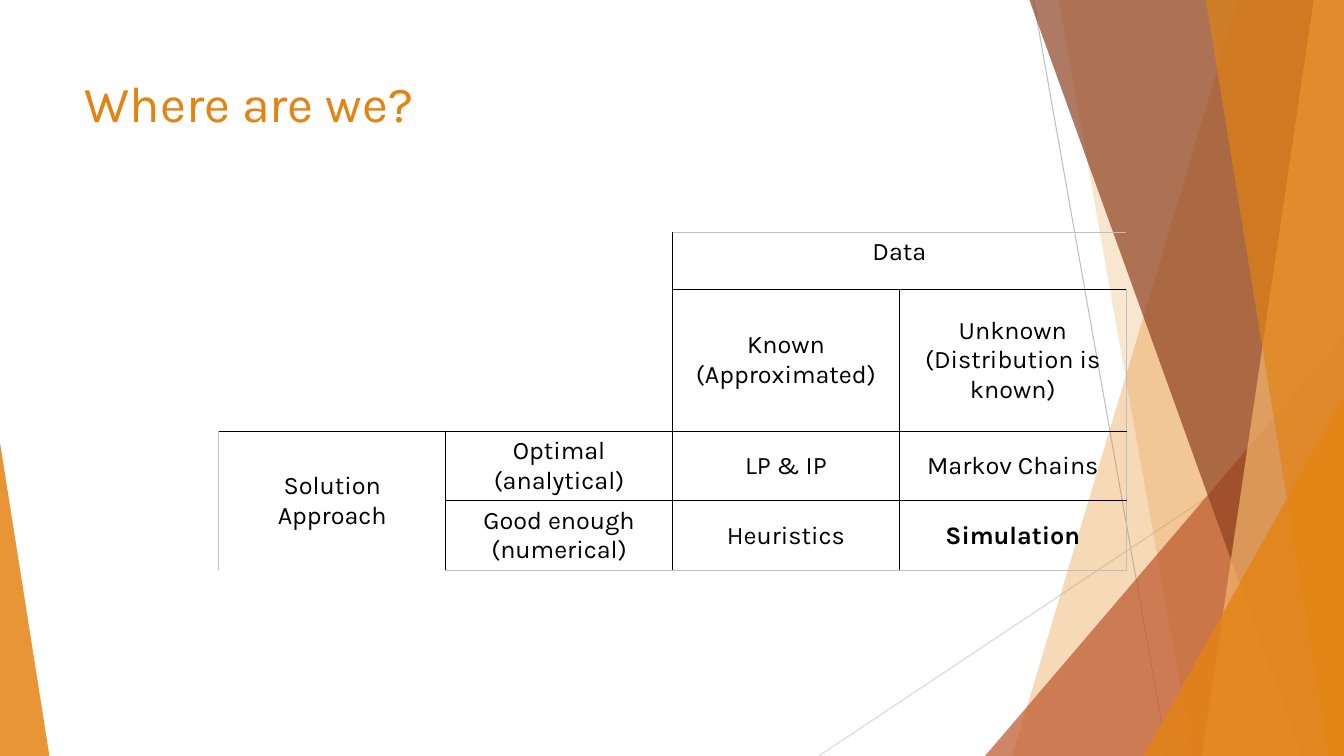
from lxml import etree
from pptx import Presentation
from pptx.dml.color import RGBColor
from pptx.enum.shapes import MSO_CONNECTOR, MSO_SHAPE
from pptx.enum.text import MSO_ANCHOR, PP_ALIGN
from pptx.oxml.ns import qn
from pptx.util import Inches, Pt

STRAIGHT = MSO_CONNECTOR.STRAIGHT
TRIANGLE = MSO_SHAPE.ISOSCELES_TRIANGLE
TOP, MIDDLE = MSO_ANCHOR.TOP, MSO_ANCHOR.MIDDLE
LEFT, CENTER = PP_ALIGN.LEFT, PP_ALIGN.CENTER
WIDTH, HEIGHT = 13.33, 7.5
ORANGE, RUST, BROWN, PEACH = "E48312", "BD582C", "8E4221", "F3B56C"


def color(value):
    return RGBColor.from_string(value)


def format_text(para, align, values):
    para.alignment = align
    for span in para.runs:
        span.font.color.rgb = color(values["color"])
        for name in ("name", "size", "bold"):
            setattr(span.font, name, values[name])


deck = Presentation()
deck.slide_width = Inches(WIDTH)
deck.slide_height = Inches(HEIGHT)
page = deck.slides.add_slide(deck.slide_layouts[5])

rays = [
    ((10.25, 0), (11.58, HEIGHT), "BFBFBF"),
    ((WIDTH, 4.03), (8.12, HEIGHT), "D9D9D9"),
]
for start, end, shade in rays:
    ray = page.shapes.add_connector(STRAIGHT, *map(Inches, start + end))
    ray.line.color.rgb = color(shade)
    ray.line.width = Pt(0.75)
    etree.SubElement(ray._element.spPr, qn("a:effectLst"))

facets = [
    ("band", (12.28, 10.04), ORANGE, 30),
    ("band", (10.5, 11.83), ORANGE, 20),
    ("triangle", (9.77, 3.33, 3.56, 1), RUST, 72),
    ("band", (10.21, 12.91), BROWN, 70),
    ("band", (13.03, 11.92), PEACH, 70),
    ("band", (11.96, 13.18), ORANGE, 65),
    ("triangle", (11.34, 3.93, 1.99, 1), ORANGE, 80),
    ("triangle", (0, 4.39, 0.49, 0), ORANGE, 85),
]
for kind, geometry, shade, opacity in facets:
    if kind == "band":
        top_x, bottom_x = geometry
        outline = page.shapes.build_freeform(Inches(top_x), 0)
        corners = [(WIDTH, 0), (WIDTH, HEIGHT), (bottom_x, HEIGHT)]
        outline.add_line_segments([(Inches(x), Inches(y)) for x, y in corners])
        facet = outline.convert_to_shape()
    else:
        left, top, width, apex = geometry
        facet = page.shapes.add_shape(
            TRIANGLE, Inches(left), Inches(top), Inches(width), Inches(HEIGHT - top)
        )
        facet.adjustments[0] = apex
    facet.shadow.inherit = False
    facet.line.fill.background()
    facet.fill.solid()
    facet.fill.fore_color.rgb = color(shade)
    paint = facet._element.spPr.find(qn("a:solidFill"))[0]
    etree.SubElement(paint, qn("a:alpha"), val=str(opacity * 1000))

title = page.shapes.title
title_box = {"left": 0.74, "top": 0.67, "width": 9.4, "height": 1.44}
for name, value in title_box.items():
    setattr(title, name, Inches(value))
title.text_frame.text = "Where are we?"
title.text_frame.word_wrap = True
title.text_frame.vertical_anchor = TOP
title_format = {"name": "Karla", "size": Pt(36), "bold": False, "color": ORANGE}
format_text(title.text_frame.paragraphs[0], LEFT, title_format)

regions = ["AABB", "AACD", "EFGH", "EIJK"]
labels = {
    "B": "Data",
    "C": "Known (Approximated)",
    "D": "Unknown\n(Distribution is known)",
    "E": "Solution Approach",
    "F": "Optimal (analytical)",
    "G": "LP & IP",
    "H": "Markov Chains",
    "I": "Good enough\n(numerical)",
    "J": "Heuristics",
    "K": "Simulation",
}
row_heights = [0.57, 1.41, 0.69, 0.69]
column_width = 2.25
frame = page.shapes.add_table(
    4, 4, Inches(2.17), Inches(2.3), Inches(4 * column_width), Inches(sum(row_heights))
)
table = frame.table
table.first_row = False
table.horz_banding = False
for column in table.columns:
    column.width = Inches(column_width)
for row, height in zip(table.rows, row_heights):
    row.height = Inches(height)
for first, last in [((0, 0), (1, 1)), ((0, 2), (0, 3)), ((2, 0), (3, 0))]:
    table.cell(*first).merge(table.cell(*last))

sides = {"lnL": (0, -1), "lnR": (0, 1), "lnT": (-1, 0), "lnB": (1, 0)}
for r, line in enumerate(regions):
    for c, region in enumerate(line):
        cell = table.cell(r, c)
        properties = cell._tc.get_or_add_tcPr()
        for tag, (down, across) in sides.items():
            y, x = r + down, c + across
            inside = 0 <= y < 4 and 0 <= x < 4
            neighbor = regions[y][x] if inside else None
            center_line = inside and {c, x} == {1, 2}
            weight = 1.5 if center_line else 1 if inside else 0.5
            border = etree.SubElement(properties, qn("a:" + tag), w=str(Pt(weight)))
            if neighbor == region or (region == "A" and not inside):
                etree.SubElement(border, qn("a:noFill"))
            else:
                paint = etree.SubElement(border, qn("a:solidFill"))
                shade = "000000" if inside else "BFBFBF"
                etree.SubElement(paint, qn("a:srgbClr"), val=shade)
        cell.fill.background()
        if cell.is_spanned or region not in labels:
            continue
        cell.text_frame.text = labels[region]
        cell.vertical_anchor = TOP if region == "B" else MIDDLE
        cell_format = {
            "name": "Karla",
            "size": Pt(18),
            "bold": region == "K",
            "color": "000000",
        }
        for para in cell.text_frame.paragraphs:
            format_text(para, CENTER, cell_format)

deck.save("out.pptx")
